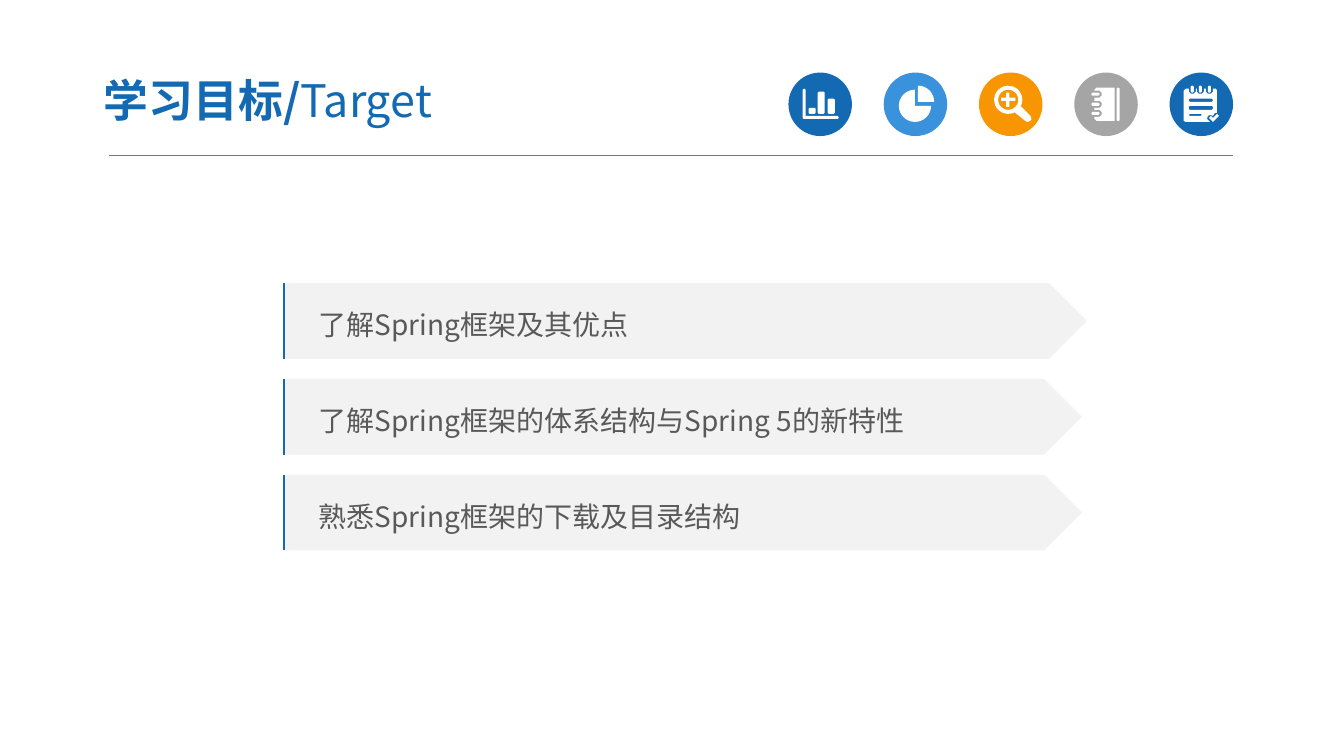
"""Build the learning-targets slide with its icon header and three goal arrows."""
import math

import pptx
import pptx.dml.color
import pptx.enum.shapes
import pptx.enum.text
import pptx.oxml.ns
import pptx.util
import lxml.etree

SHAPES = pptx.enum.shapes.MSO_SHAPE
FONT = "Noto Sans CJK SC"
COLORS = {"blue": "1369B2", "sky": "3992DB", "orange": "F79600", "grey": "A5A5A5",
          "white": "FFFFFF", "panel": "F2F2F2", "text": "595959", "rule": "767676"}
TITLE = [("学习目标/", True), ("Target", False)]
GOALS = [("了解Spring框架及其优点", 7.97),
         ("了解Spring框架的体系结构与Spring 5的新特性", 7.92),
         ("熟悉Spring框架的下载及目录结构", 7.92)]
GOAL_LEFT, GOAL_TOP, GOAL_HEIGHT, GOAL_PITCH = 2.81, 2.81, 0.75, 0.95
EDGE_LEFT, EDGE_WIDTH = 2.82, 0.12
ICON_LEFT, ICON_TOP, ICON_SIZE, ICON_RIGHT = 7.82, 0.72, 0.63, 12.23


def box(left, top, width, height, cut=0.01):
    """Return a rectangle outline with cut corners."""
    right, bottom = left + width, top + height
    return [(left + cut, top), (right - cut, top), (right, top + cut), (right, bottom - cut),
            (right - cut, bottom), (left + cut, bottom), (left, bottom - cut), (left, top + cut)]


def arc(center_x, center_y, radius, start, end, steps=24):
    """Return points along an arc, in degrees clockwise from the right."""
    angles = [math.radians(start + (end - start) * step / steps) for step in range(steps + 1)]
    return [(center_x + radius * math.cos(angle), center_y + radius * math.sin(angle))
            for angle in angles]


def notebook():
    """Return the notebook outlines: cover with ring notches, strip and rings."""
    cover = [(0.22, 0.15), (0.4, 0.15), (0.4, 0.48), (0.22, 0.48), (0.2, 0.46)]
    rings = [0.18, 0.28, 0.37]
    for top in reversed(rings):
        cover += [(0.2, top + 0.07), (0.25, top + 0.07), (0.27, top + 0.05),
                  (0.27, top + 0.02), (0.25, top), (0.2, top)]
    cover.append((0.2, 0.17))
    return [cover, box(0.42, 0.15, 0.03, 0.33)] + [
        box(0.17, top + 0.02, 0.08, 0.03) for top in rings]


def notepad():
    """Return the notepad outlines: sheet with ring notches, lines, rings and tick."""
    rings = [0.19, 0.27, 0.36]
    sheet = [(0.14, 0.18), (0.16, 0.16)]
    for left in rings:
        sheet += [(left, 0.16), (left, 0.19), (left + 0.02, 0.21), (left + 0.05, 0.21),
                  (left + 0.07, 0.19), (left + 0.07, 0.16)]
    sheet += [(0.46, 0.16), (0.47, 0.18), (0.47, 0.4), (0.45, 0.4), (0.43, 0.43),
              (0.41, 0.42), (0.38, 0.43), (0.37, 0.46), (0.4, 0.49), (0.16, 0.49), (0.14, 0.48)]
    tick = [(0.39, 0.45), (0.41, 0.43), (0.43, 0.45), (0.47, 0.41), (0.49, 0.43), (0.43, 0.49)]
    lines = [box(0.19, 0.26, 0.24, 0.03), box(0.19, 0.33, 0.24, 0.04), box(0.19, 0.41, 0.13, 0.02)]
    return [sheet, tick] + lines + [box(left + 0.02, 0.13, 0.03, 0.07) for left in rings]


CHART = [[(0.14, 0.17), (0.16, 0.16), (0.17, 0.17), (0.17, 0.43), (0.49, 0.43),
          (0.5, 0.45), (0.49, 0.46), (0.15, 0.46), (0.14, 0.45)],
         box(0.2, 0.35, 0.07, 0.06), box(0.29, 0.19, 0.07, 0.22), box(0.39, 0.26, 0.07, 0.15)]
PIE_CHART = [[(0.34, 0.29)] + arc(0.34, 0.29, 0.16, -90, 0, 8),
             [(0.31, 0.33)] + arc(0.31, 0.33, 0.16, 0, 270)]
MAGNIFIER = [arc(0.29, 0.27, 0.14, 63, 387) + [(0.51, 0.43), (0.52, 0.46), (0.51, 0.48),
                                               (0.48, 0.49), (0.46, 0.48)],
             arc(0.29, 0.27, 0.1, 0, 360),
             [(0.27, 0.2), (0.3, 0.2), (0.3, 0.25), (0.36, 0.25), (0.36, 0.28), (0.3, 0.28),
              (0.3, 0.34), (0.27, 0.34), (0.27, 0.28), (0.22, 0.28), (0.22, 0.25), (0.27, 0.25)]]
ICONS = [("blue", CHART), ("sky", PIE_CHART), ("orange", MAGNIFIER),
         ("grey", notebook()), ("blue", notepad())]


def inches(*lengths):
    return [pptx.util.Inches(length) for length in lengths]


def rgb(name):
    return pptx.dml.color.RGBColor.from_string(COLORS[name])


def add_text(paragraph, text, size=20, color="text", bold=False):
    run = paragraph.add_run()
    run.text = text
    run.font.size = pptx.util.Pt(size)
    run.font.bold = bold
    run.font.color.rgb = rgb(color)
    run.font.name = FONT
    east_asian = lxml.etree.SubElement(run._r.get_or_add_rPr(), pptx.oxml.ns.qn("a:ea"))
    east_asian.set("typeface", FONT)


def fill_shape(shape, color):
    shape.shadow.inherit = False
    shape.fill.solid()
    shape.fill.fore_color.rgb = rgb(color)
    shape.line.fill.background()
    return shape


def set_line(shape, color, width):
    shape.line.color.rgb = rgb(color)
    shape.line.width = pptx.util.Pt(width)


def add_outline(shapes, contours, left, top, close=True):
    builder = None
    for contour in contours:
        points = [tuple(inches(left + x, top + y)) for x, y in contour]
        if builder is None:
            builder = shapes.build_freeform(*points[0])
        else:
            builder.move_to(*points[0])
        builder.add_line_segments(points[1:], close=close)
    return builder.convert_to_shape()


def set_frame(frame, left, right, top=0.05):
    frame.word_wrap = True
    frame.auto_size = pptx.enum.text.MSO_AUTO_SIZE.NONE
    frame.vertical_anchor = pptx.enum.text.MSO_ANCHOR.MIDDLE
    frame.margin_left, frame.margin_right = inches(left, right)
    frame.margin_top, frame.margin_bottom = inches(top, top)
    paragraph = frame.paragraphs[0]
    paragraph.alignment = pptx.enum.text.PP_ALIGN.LEFT
    return paragraph


def add_rule(slide):
    rule = slide.shapes.add_connector(pptx.enum.shapes.MSO_CONNECTOR.STRAIGHT,
                                      *inches(1.08, 1.54, ICON_RIGHT, 1.54))
    set_line(rule, "rule", 0.5)
    lxml.etree.SubElement(rule._element.spPr, pptx.oxml.ns.qn("a:effectLst"))


def add_title(slide):
    title = slide.shapes.title
    title.left, title.top, title.width, title.height = inches(0.9, 0.63, 5.22, 0.72)
    paragraph = set_frame(title.text_frame, 0.13, 0.13, 0.07)
    for text, bold in TITLE:
        add_text(paragraph, text, size=32, color="blue", bold=bold)


def add_icons(slide):
    pitch = (ICON_RIGHT - ICON_SIZE - ICON_LEFT) / (len(ICONS) - 1)
    for index, (color, contours) in enumerate(ICONS):
        left = ICON_LEFT + index * pitch
        shapes = slide.shapes.add_group_shape().shapes
        fill_shape(shapes.add_shape(SHAPES.OVAL, *inches(left, ICON_TOP, ICON_SIZE, ICON_SIZE)),
                   color)
        fill_shape(add_outline(shapes, contours, left, ICON_TOP), "white")


def add_goals(slide):
    for index, (text, width) in enumerate(GOALS):
        top = GOAL_TOP + index * GOAL_PITCH
        shapes = slide.shapes.add_group_shape().shapes
        arrow = fill_shape(shapes.add_shape(
            SHAPES.PENTAGON, *inches(GOAL_LEFT, top, width, GOAL_HEIGHT)), "panel")
        paragraph = set_frame(arrow.text_frame, 0.35, 0.1)
        paragraph.line_spacing = 1.2
        add_text(paragraph, text)
        edge = add_outline(shapes, [[(0, GOAL_HEIGHT), (0, 0)]], EDGE_LEFT, top, close=False)
        edge.shadow.inherit = False
        edge.fill.background()
        set_line(edge, "blue", 1.5)
        edge.width = pptx.util.Inches(EDGE_WIDTH)
        outline = edge._element.find(".//" + pptx.oxml.ns.qn("a:path"))
        outline.set("w", str(edge.width))


def main():
    presentation = pptx.Presentation()
    presentation.slide_width, presentation.slide_height = inches(13.33, 7.5)
    slide = presentation.slides.add_slide(presentation.slide_layouts[5])
    add_rule(slide)
    add_icons(slide)
    add_title(slide)
    add_goals(slide)
    presentation.save("out.pptx")


if __name__ == "__main__":
    main()
